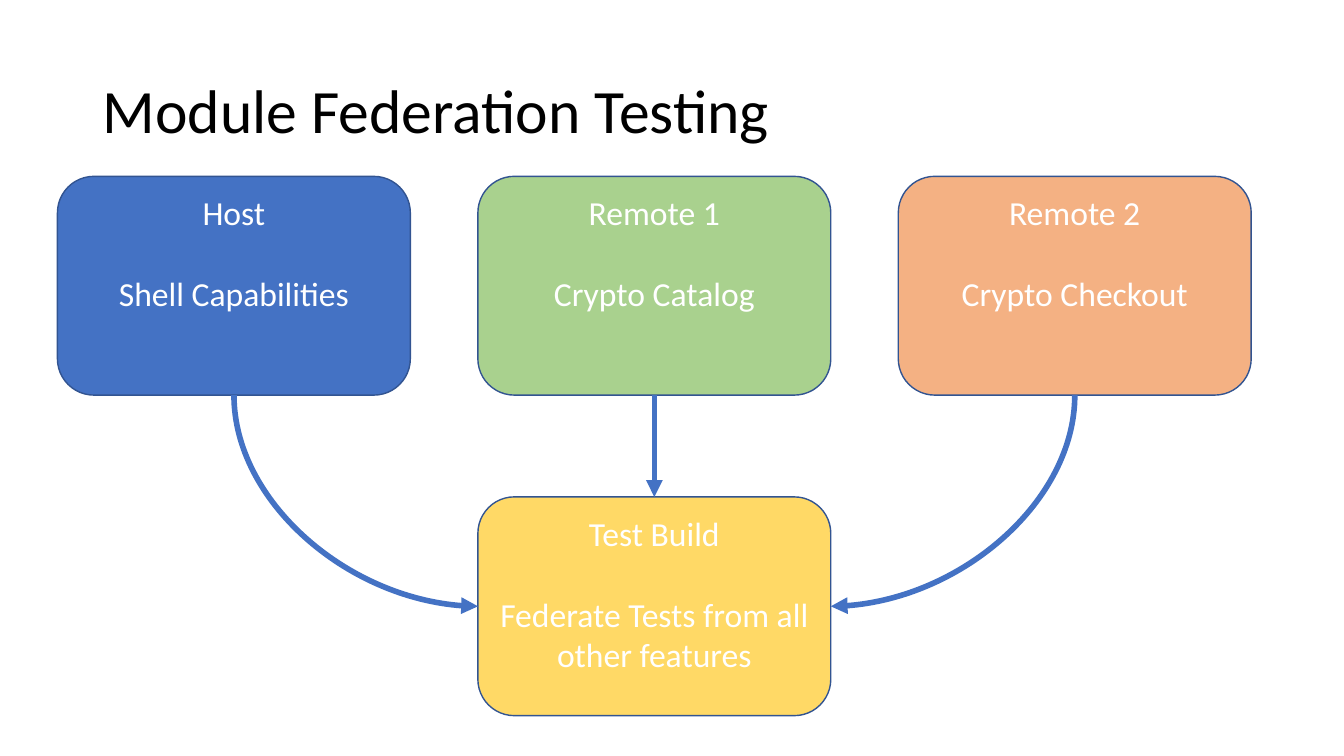
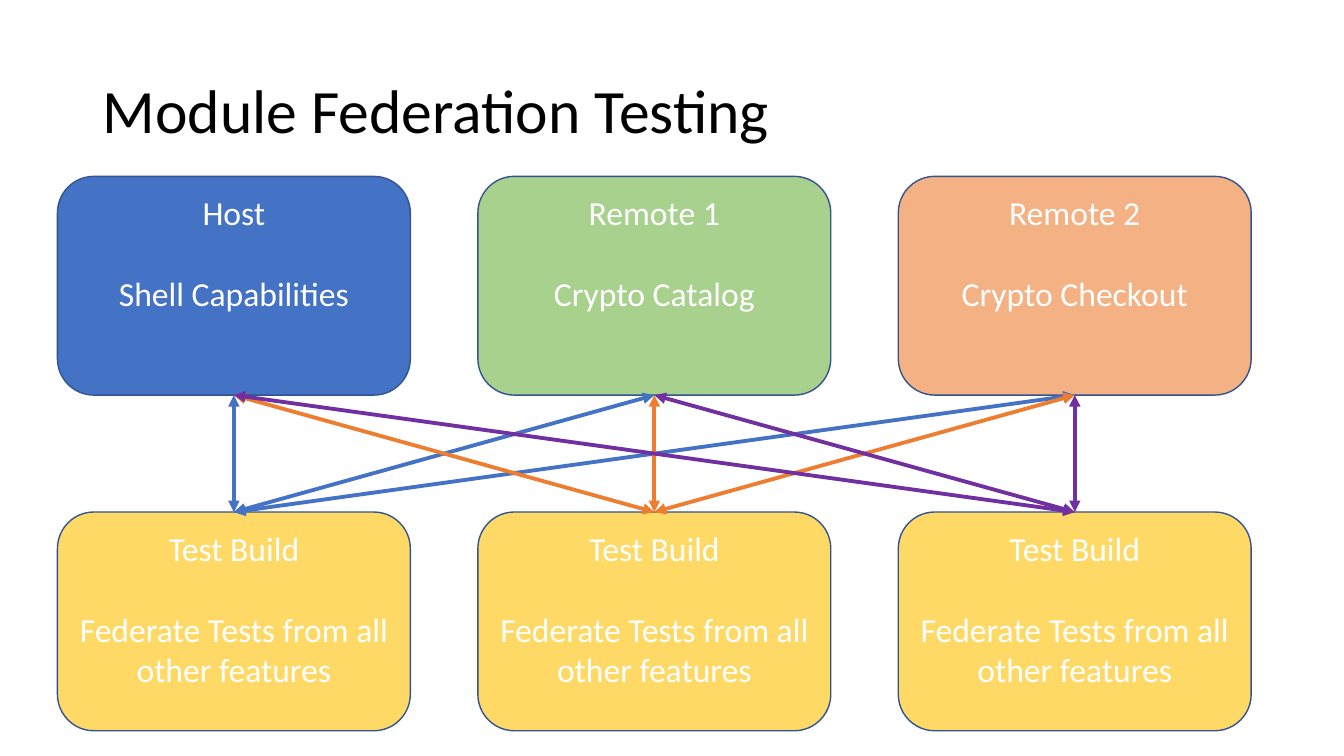
from dataclasses import dataclass
from lxml.etree import SubElement
from pptx import Presentation
from pptx.dml.color import RGBColor as Rgb
from pptx.enum.shapes import MSO_CONNECTOR as Conn, MSO_SHAPE as Geom
from pptx.enum.text import MSO_ANCHOR as Anchor, PP_ALIGN as Align
from pptx.oxml.ns import qn
from pptx.util import Inches, Pt


@dataclass(frozen=True)
class Theme:
    font: str = "Calibri"
    ink: str = "000000"
    pale: str = "FFFFFF"
    edge: str = "325491"
    blue: str = "4472C4"
    green: str = "A9D18E"
    peach: str = "F4B183"
    gold: str = "FFD966"
    orange: str = "ED7D31"
    purple: str = "7030A0"
    head: int = 44
    body: int = 24
    gap: float = 29.3
    thin: float = 2.75
    thick: float = 4


TOP, LEFT, BOTTOM, RIGHT = range(4)


class Deck:
    """Builds slides of titled boxes, set on a three-column grid and joined by arrows."""

    def __init__(self, theme):
        self.look = theme
        self.file = Presentation()
        self.file.slide_width, self.file.slide_height = Inches(13.33), Inches(7.5)
        self.left, self.pitch = 0.57, 4.17
        self.wide, self.high = 3.5, 2.17

    def page(self, title):
        self.slide = self.file.slides.add_slide(self.file.slide_layouts[6])
        box = self.slide.shapes.add_textbox(*map(Inches, (0.92, 0.4, 11.5, 1.45)))
        frame = box.text_frame
        frame.word_wrap = True
        frame.vertical_anchor = Anchor.MIDDLE
        frame.text = title
        frame.paragraphs[0].line_spacing = 0.9
        self.style(frame, self.look.head, self.look.ink)

    def style(self, frame, size, color):
        for para in frame.paragraphs:
            for run in para.runs:
                run.font.name = self.look.font
                run.font.size = Pt(size)
                run.font.color.rgb = Rgb.from_string(color)

    def box(self, col, top, name, role, fill):
        place = (self.left + col * self.pitch, top, self.wide, self.high)
        box = self.slide.shapes.add_shape(Geom.ROUNDED_RECTANGLE, *map(Inches, place))
        box.shadow.inherit = False
        box.fill.solid()
        box.fill.fore_color.rgb = Rgb.from_string(fill)
        box.line.color.rgb = Rgb.from_string(self.look.edge)
        box.line.width = Pt(1)
        frame = box.text_frame
        frame.word_wrap = True
        frame.vertical_anchor = Anchor.TOP
        frame.text = f"{name}\n{role}"
        for para in frame.paragraphs:
            para.alignment = Align.CENTER
        frame.paragraphs[1].space_before = Pt(self.look.gap)
        self.style(frame, self.look.body, self.look.pale)
        return box

    def apps(self):
        rows = (
            ("Host", "Shell Capabilities", self.look.blue),
            ("Remote 1", "Crypto Catalog", self.look.green),
            ("Remote 2", "Crypto Checkout", self.look.peach),
        )
        return [self.box(col, 1.75, *row) for col, row in enumerate(rows)]

    def build(self, col, top):
        role = "Federate Tests from all other features"
        return self.box(col, top, "Test Build", role, self.look.gold)

    def link(self, start, out, end, into, color, width, ends, kind=Conn.STRAIGHT):
        line = self.slide.shapes.add_connector(kind, 0, 0, 0, 0)
        line.begin_connect(start, out)
        line.end_connect(end, into)
        line.line.color.rgb = Rgb.from_string(color)
        line.line.width = Pt(width)
        props = line._element.spPr
        for tag in ends:
            SubElement(props.find(qn("a:ln")), qn(f"a:{tag}"), type="triangle")
        SubElement(props, qn("a:effectLst"))
        return line

    def arc(self, start, end, into, color, width):
        line = self.link(start, BOTTOM, end, into, color, width, ["tailEnd"], Conn.CURVE)
        right = line.end_x > line.begin_x
        mid, half = line.left + line.width // 2, line.top + line.height // 2
        line.width, line.height = line.height, line.width
        line.left, line.top = mid - line.width // 2, half - line.height // 2
        props = line._element.spPr
        props.find(qn("a:prstGeom")).set("prst", "curvedConnector2")
        form = props.find(qn("a:xfrm"))
        form.set("rot", str((270 if right else 90) * 60000))
        form.set("flipH", "1" if right else "0")
        form.set("flipV", "0")


def main():
    look = Theme()
    deck = Deck(look)
    title = "Module Federation Testing"

    deck.page(title)
    host, first, last = deck.apps()
    test = deck.build(1, 4.93)
    deck.arc(host, test, LEFT, look.blue, look.thick)
    deck.link(first, BOTTOM, test, TOP, look.blue, look.thick, ["tailEnd"])
    deck.arc(last, test, RIGHT, look.blue, look.thick)

    deck.page(title)
    apps = deck.apps()
    tests = [deck.build(col, 5.08) for col in range(3)]
    for test, color in zip(tests, (look.blue, look.orange, look.purple)):
        for app in apps:
            deck.link(test, TOP, app, BOTTOM, color, look.thin, ["headEnd", "tailEnd"])

    deck.file.save("out.pptx")


if __name__ == "__main__":
    main()
